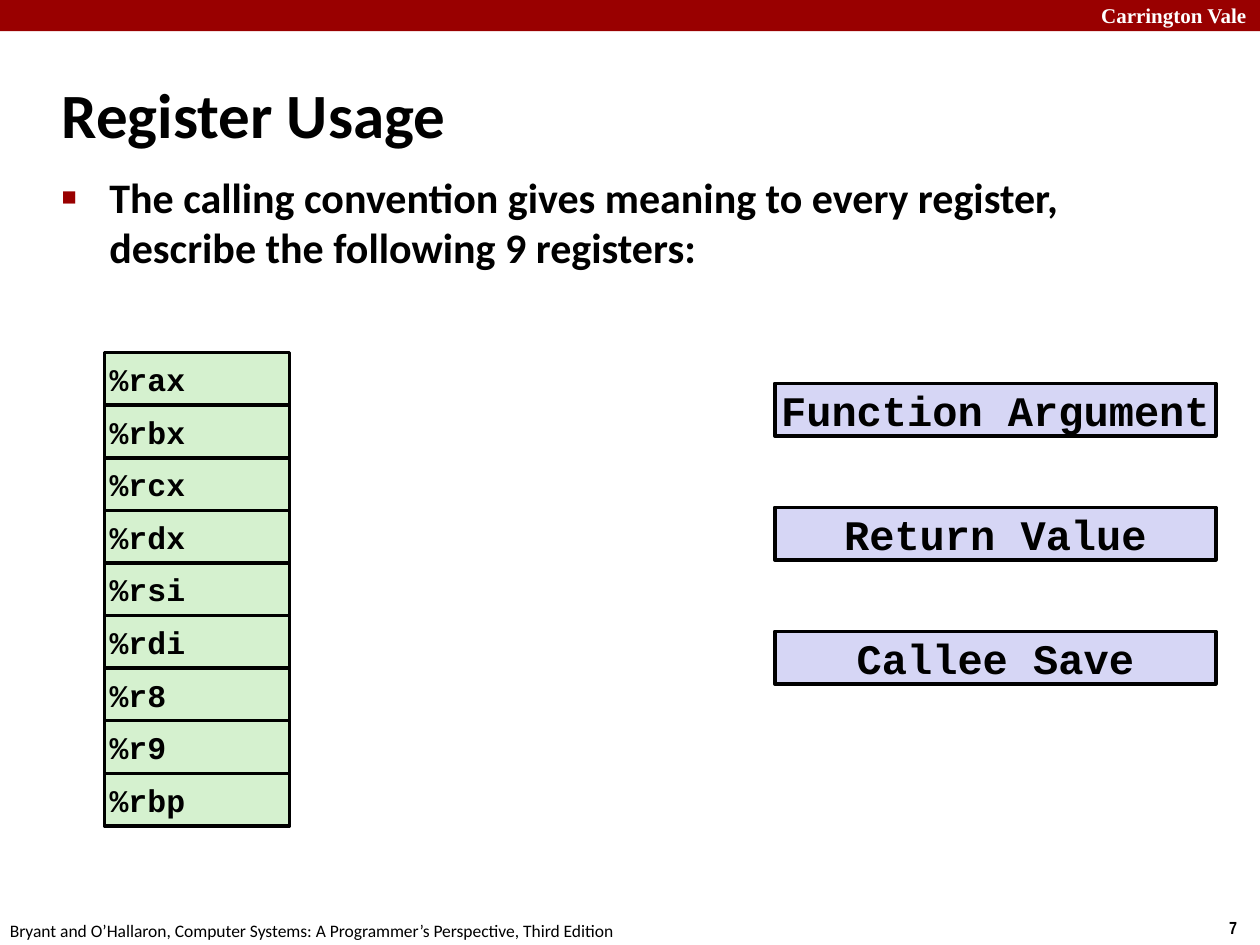
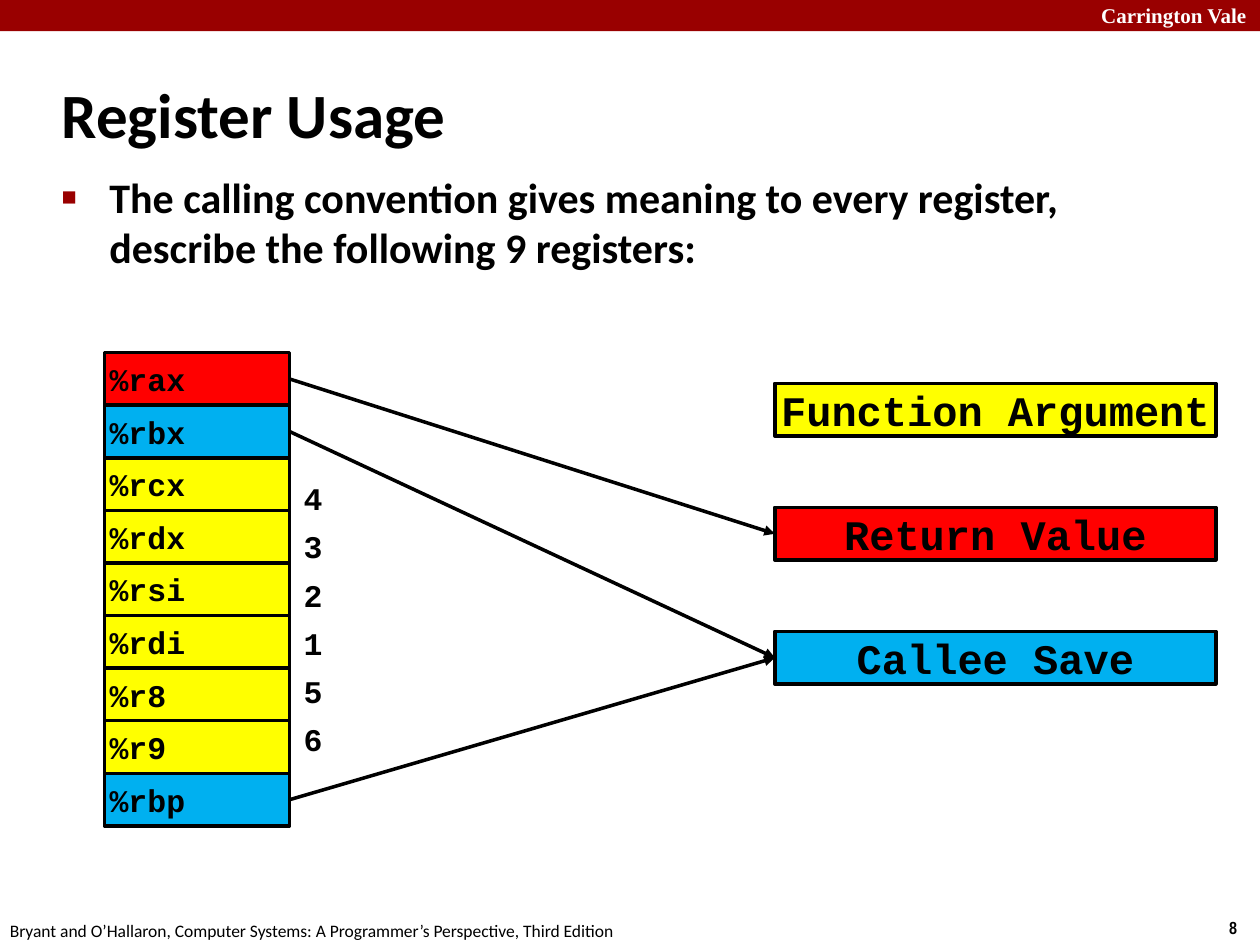
import pptx
import pptx.util
import pptx.dml.color
import pptx.enum.shapes
import pptx.enum.text
import pptx.oxml
import pptx.oxml.ns

Cm, Pt = pptx.util.Cm, pptx.util.Pt
RGB = pptx.dml.color.RGBColor.from_string
Align, Anchor = pptx.enum.text.PP_ALIGN, pptx.enum.text.MSO_ANCHOR
RECT = pptx.enum.shapes.MSO_SHAPE.RECTANGLE
DRAWING = pptx.oxml.ns.nsdecls("a")

colours = {"band": "990000", "ink": "000000", "paper": "FFFFFF",
           "register": "D5F1CF", "role": "D6D6F5",
           "Function Argument": "FFFF00", "Return Value": "FF0000",
           "Callee Save": "00B0F0"}

# Format values: text frame, paragraphs, font
margins = ["margin_left", "margin_top", "margin_right", "margin_bottom"]
no_fit = {"auto_size": pptx.enum.text.MSO_AUTO_SIZE.NONE, "word_wrap": True}
formats = {
    "title": ({**no_fit, "vertical_anchor": Anchor.MIDDLE}, {"alignment": Align.LEFT},
              {"name": "Calibri", "size": Pt(36), "bold": True}),
    "body": ({**no_fit, "vertical_anchor": Anchor.TOP},
             {"alignment": Align.LEFT, "space_before": Pt(4.8)},
             {"name": "Calibri", "size": Pt(24), "bold": True}),
    "school": ({"word_wrap": True}, {},
               {"name": "Times New Roman", "size": Pt(12), "bold": True}),
    "number": ({"word_wrap": False}, {},
               {"name": "Arial Narrow", "size": Pt(10), "bold": True}),
    "footer": ({"word_wrap": False}, {}, {"name": "Calibri", "size": Pt(10)}),
    "register": ({**dict.fromkeys(margins, Cm(0.1)), "vertical_anchor": Anchor.MIDDLE},
                 {"alignment": Align.LEFT},
                 {"name": "Courier New", "size": Pt(18), "bold": True}),
    "role": ({**dict.fromkeys(margins, 0), "vertical_anchor": Anchor.MIDDLE},
             {"alignment": Align.CENTER},
             {"name": "Courier New", "size": Pt(24), "bold": True}),
    "order": ({"word_wrap": True}, {"space_after": Pt(6)},
              {"name": "Courier New", "size": Pt(18), "bold": True}),
}

# Registers with the role each one plays
register_roles = {"%rax": "Return Value", "%rbx": "Callee Save",
                  **dict.fromkeys(["%rcx", "%rdx", "%rsi", "%rdi", "%r8", "%r9"],
                                  "Function Argument"),
                  "%rbp": "Callee Save"}
roles = ["Function Argument", "Return Value", "Callee Save"]
row_height = 1.06


def write(part, text, kind, ink="ink"):
    """Put text into a shape, formatted by its kind."""
    frame_format, paragraph_format, font_format = formats[kind]
    frame = part.text_frame
    frame.text = text
    for name, value in frame_format.items():
        setattr(frame, name, value)
    for paragraph in frame.paragraphs:
        for name, value in paragraph_format.items():
            setattr(paragraph, name, value)
        for run in paragraph.runs:
            for name, value in font_format.items():
                setattr(run.font, name, value)
            run.font.color.rgb = RGB(colours[ink])


def add_box(slide, left, top, width, height, fill, outlined=True):
    """Add a flat rectangle, with or without the black outline."""
    box = slide.shapes.add_shape(RECT, Cm(left), Cm(top), Cm(width), Cm(height))
    box.shadow.inherit = False
    box.fill.solid()
    box.fill.fore_color.rgb = RGB(colours[fill])
    if outlined:
        box.line.color.rgb = RGB(colours["ink"])
        box.line.width = Pt(2)
    else:
        box.line.fill.background()
    return box


deck = pptx.Presentation()
deck.slide_width, deck.slide_height = Cm(25.4), Cm(19.05)

for number, solved in [(7, False), (8, True)]:
    slide = deck.slides.add_slide(deck.slide_layouts[1])

    # Top band, school name, slide number and footer
    add_box(slide, 0, 0, 25.4, 0.63, "band", outlined=False)
    for text, kind, ink, left, top, width, height in [
            ("Carrington Vale", "school", "paper", 21.95, -0.07, 3.63, 0.76),
            (str(number), "number", "ink", 24.53, 18.36, 0.87, 0.69),
            ("Bryant and O’Hallaron, Computer Systems: A Programmer’s Perspective, "
             "Third Edition", "footer", "ink", -0.05, 18.42, 12.9, 0.69)]:
        label = slide.shapes.add_textbox(Cm(left), Cm(top), Cm(width), Cm(height))
        write(label, text, kind, ink)

    # Title and question
    title, question = slide.placeholders
    for part, text, kind, top, width, height, indent in [
            (title, "Register Usage", "title", 1.22, 21.08, 2.11, 0.33),
            (question, "The calling convention gives meaning to every register,\v"
             "describe the following 9 registers:", "body", 3.33, 21.95, 13.82, 0.96)]:
        part.left, part.top, part.width, part.height = Cm(0.99), Cm(top), Cm(width), Cm(height)
        write(part, text, kind)
        properties = part.text_frame.paragraphs[0]._p.get_or_add_pPr()
        properties.set("marL", str(Cm(indent)))
        properties.set("indent", str(-Cm(indent)))
    for bullet in [f'<a:buClr {DRAWING}><a:srgbClr val="{colours["band"]}"/></a:buClr>',
                   f'<a:buSzPct {DRAWING} val="60000"/>',
                   f'<a:buChar {DRAWING} char="■"/>']:
        properties.append(pptx.oxml.parse_xml(bullet))

    # Register column
    register_boxes = {}
    for row, (register, role) in enumerate(register_roles.items()):
        box = add_box(slide, 2.11, 7.11 + row * row_height, 3.73, row_height,
                      role if solved else "register")
        write(box, register, "register")
        register_boxes[register] = box

    # Role boxes
    role_boxes = {}
    for row, role in enumerate(roles):
        box = add_box(slide, 15.62, 7.73 + row * 2.5, 8.89, row_height,
                      role if solved else "role")
        write(box, role, "role")
        role_boxes[role] = box

    if not solved:
        continue

    # Arrows from each register that is not an argument to its role
    for register, role in register_roles.items():
        if role == "Function Argument":
            continue
        arrow = slide.shapes.add_connector(
            pptx.enum.shapes.MSO_CONNECTOR.STRAIGHT, 0, 0, 0, 0)
        arrow.begin_connect(register_boxes[register], 3)
        arrow.end_connect(role_boxes[role], 1)
        arrow.line.color.rgb = RGB(colours["ink"])
        arrow.line.width = Pt(2)
        arrow.line._ln.append(pptx.oxml.parse_xml(f'<a:tailEnd {DRAWING} type="triangle"/>'))
        arrow._element.spPr.append(pptx.oxml.parse_xml(f"<a:effectLst {DRAWING}/>"))

    # Argument order beside the registers
    argument_order = slide.shapes.add_textbox(Cm(5.87), Cm(9.53), Cm(0.94), Cm(5.94))
    write(argument_order, "\n".join("432156"), "order")

deck.save("out.pptx")
